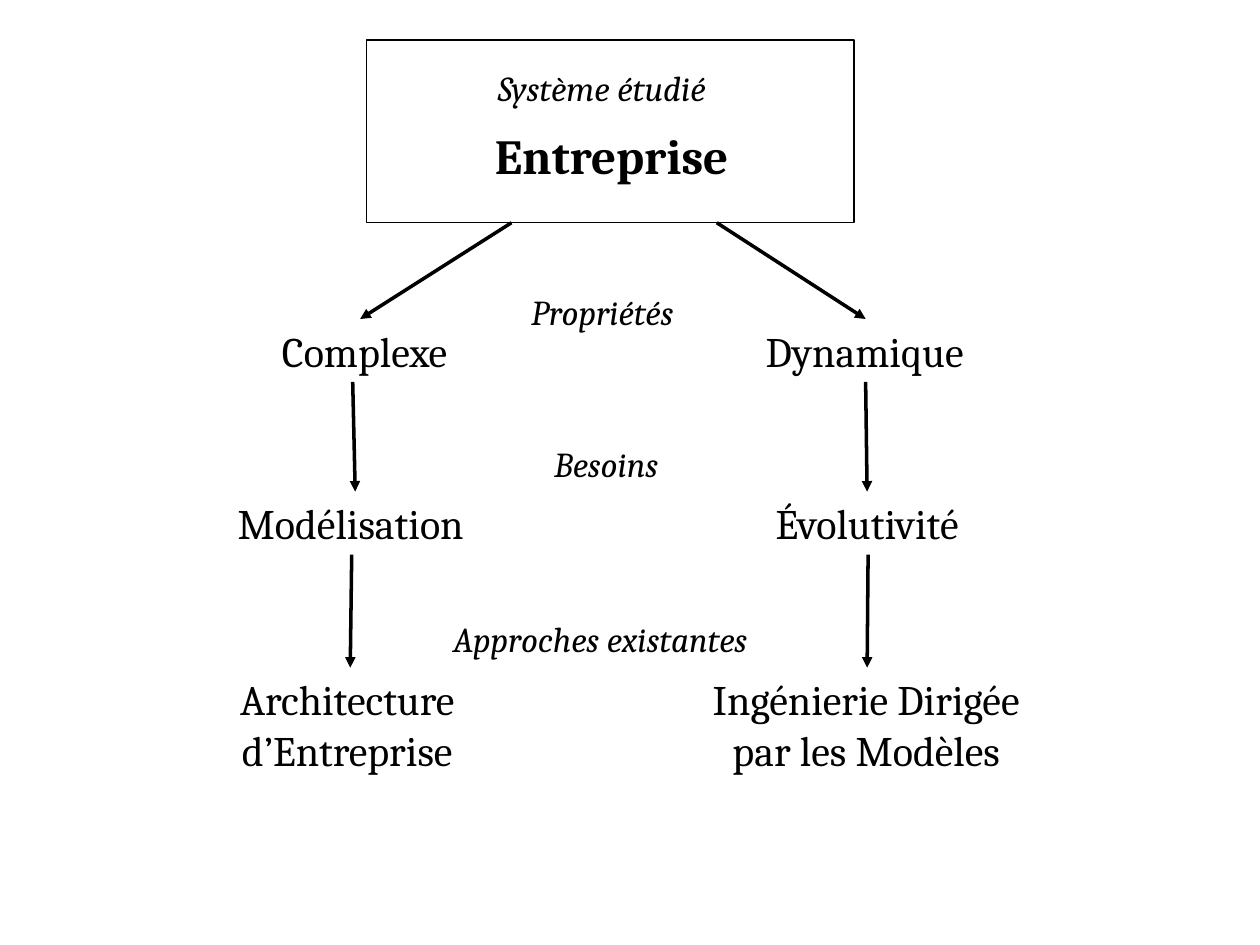
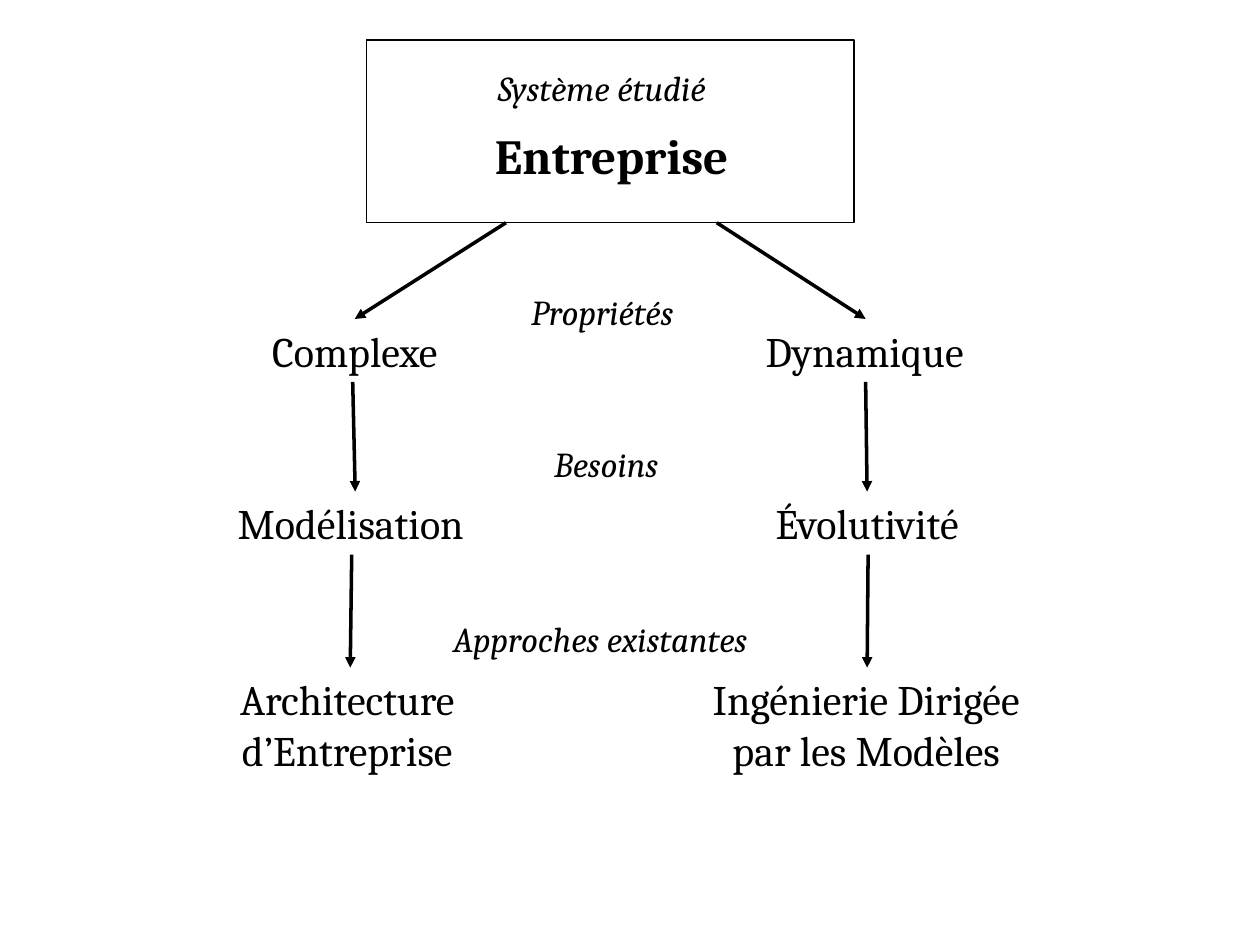
from dataclasses import dataclass

from lxml.etree import SubElement
from pptx import Presentation
from pptx.dml.color import RGBColor
from pptx.enum.shapes import MSO_CONNECTOR as Connector, MSO_SHAPE as Shape
from pptx.enum.text import MSO_ANCHOR as Anchor, MSO_AUTO_SIZE as AutoSize, PP_ALIGN as Align
from pptx.oxml.ns import qn
from pptx.util import Cm, Pt

BLACK = RGBColor(0, 0, 0)
WHITE = RGBColor(255, 255, 255)
FONT = "Cambria"

NODE_WIDTH = 8.86
NODE_TOPS = (5.62, 9.1, 12.65)
NODE_HEIGHTS = (1.27, 1.27, 2.31)
FRAME_HEIGHT = 3.68


@dataclass
class Box:
    left: float
    top: float
    width: float
    height: float

    def inner(self, left, top, width, height):
        return Box(self.left + left, self.top + top, width, height)

    def point(self, x, y):
        return self.left + x, self.top + y

    def lengths(self):
        return [Cm(side) for side in (self.left, self.top, self.width, self.height)]


def add_text(page, box, text, size=24, fill=None, bold=False, italic=False):
    if fill is None:
        shape = page.shapes.add_textbox(*box.lengths())
    else:
        shape = page.shapes.add_shape(Shape.RECTANGLE, *box.lengths())
        shape.shadow.inherit = False
        shape.fill.solid()
        shape.fill.fore_color.rgb = fill
        shape.line.fill.background()
    frame = shape.text_frame
    frame.word_wrap = True
    frame.auto_size = AutoSize.SHAPE_TO_FIT_TEXT
    frame.vertical_anchor = Anchor.TOP
    frame.text = text
    for para in frame.paragraphs:
        para.alignment = Align.CENTER
        for span in para.runs:
            font = span.font
            font.name, font.size = FONT, Pt(size)
            font.bold, font.italic = bold, italic
            font.color.rgb = BLACK


def add_arrow(page, start, end):
    ends = [Cm(value) for value in (*start, *end)]
    arrow = page.shapes.add_connector(Connector.STRAIGHT, *ends)
    arrow.line.color.rgb = BLACK
    arrow.line.width = Pt(2)
    SubElement(arrow.line._get_or_add_ln(), qn("a:tailEnd"), type="triangle")
    SubElement(arrow._element.spPr, qn("a:effectLst"))


def draw_system(page, box):
    add_text(page, box.inner(0.51, 1.6, NODE_WIDTH, 1.45), "Entreprise", size=28, fill=WHITE, bold=True)
    frame = page.shapes.add_shape(Shape.RECTANGLE, *box.lengths())
    frame.shadow.inherit = False
    frame.fill.background()
    frame.line.color.rgb = BLACK
    frame.line.width = Pt(0.75)
    add_text(page, box.inner(2.13, 0.41, 5.38, 1.12), "Système étudié ", size=20, fill=WHITE, italic=True)


def draw_column(page, box, nodes, arrows):
    for (text, offset), top, height in zip(nodes, NODE_TOPS, NODE_HEIGHTS):
        add_text(page, box.inner(offset, top, NODE_WIDTH, height), text, fill=WHITE)
    for (start, end), row in zip(arrows, range(len(arrows))):
        bottom = NODE_TOPS[row] + NODE_HEIGHTS[row]
        add_arrow(page, box.point(start, bottom), box.point(end, NODE_TOPS[row + 1]))


def draw_labels(page, box):
    for text, left, top, width in (
        ("Propriétés ", 6.96, 4.93, 5.38),
        ("Besoins", 6.96, 7.98, 5.38),
        ("Approches existantes ", 4.49, 11.51, 10.24),
    ):
        add_text(page, box.inner(left, top, width, 1.12), text, size=20, italic=True)


def draw_diagram(page, box, complex_offset, branch_shift):
    draw_system(page, box.inner(4.82, 0, 9.83, FRAME_HEIGHT))
    draw_column(
        page, box.inner(0, 0, NODE_WIDTH, box.height),
        (("Complexe", complex_offset), ("Modélisation", 0.07), ("Architecture d’Entreprise", 0)),
        ((4.54, 4.59), (4.52, 4.49)),
    )
    draw_column(
        page, box.inner(10.43, 0, NODE_WIDTH, box.height),
        (("Dynamique", 0), ("Évolutivité", 0.05), ("Ingénierie Dirigée\npar les Modèles", 0.03)),
        ((4.45, 4.48), (4.5, 4.48)),
    )
    for start, end in ((7.74 + branch_shift, 4.69 + branch_shift), (11.88, 14.88)):
        add_arrow(page, box.point(start, FRAME_HEIGHT), box.point(end, NODE_TOPS[0]))
    draw_labels(page, box)


deck = Presentation()
deck.slide_width, deck.slide_height = Cm(25.4), Cm(19.05)
for complex_offset, branch_shift in ((0.35, 0), (0.15, -0.11)):
    page = deck.slides.add_slide(deck.slide_layouts[6])
    draw_diagram(page, Box(2.57, 0.81, 19.35, 14.96), complex_offset, branch_shift)
deck.save("out.pptx")
